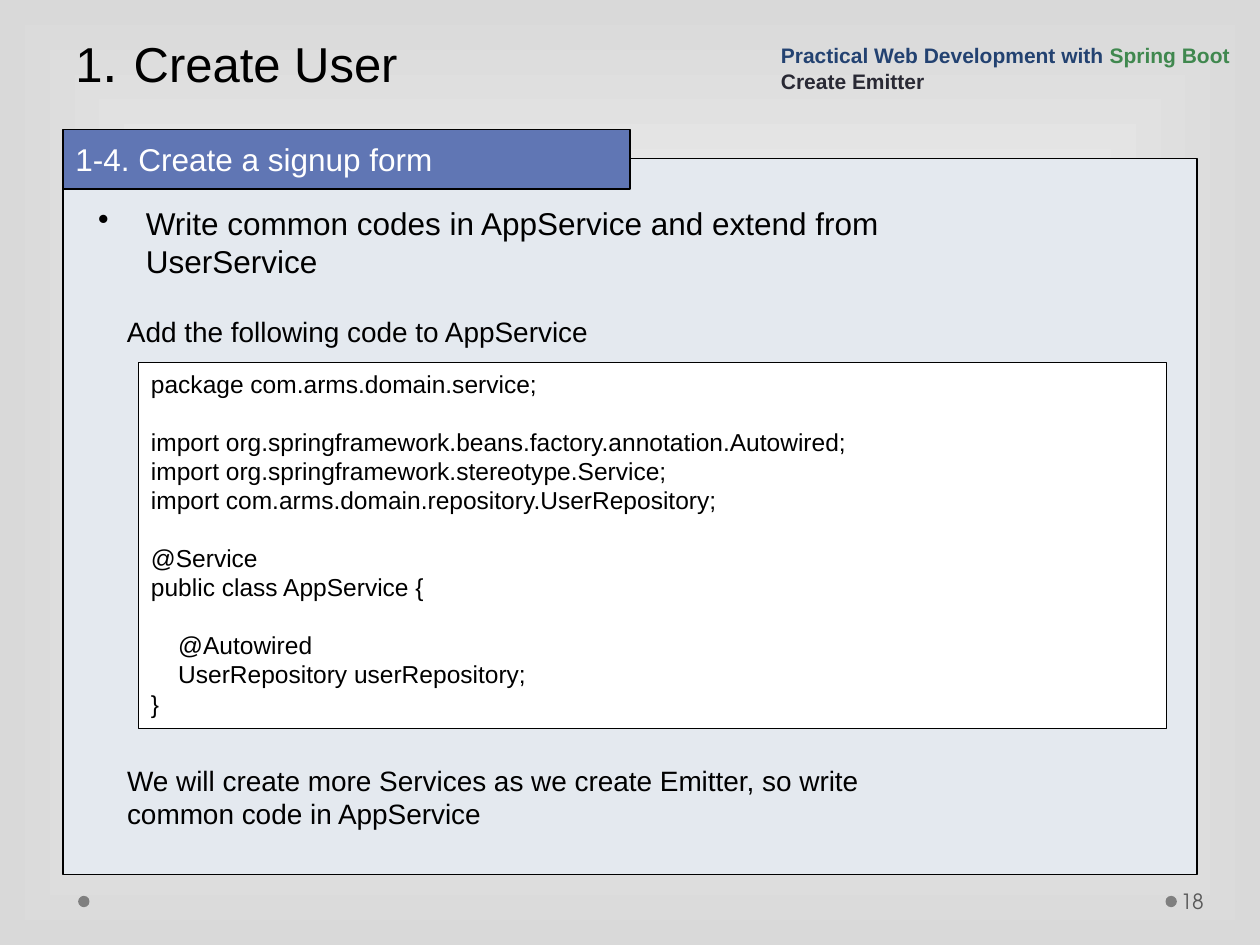
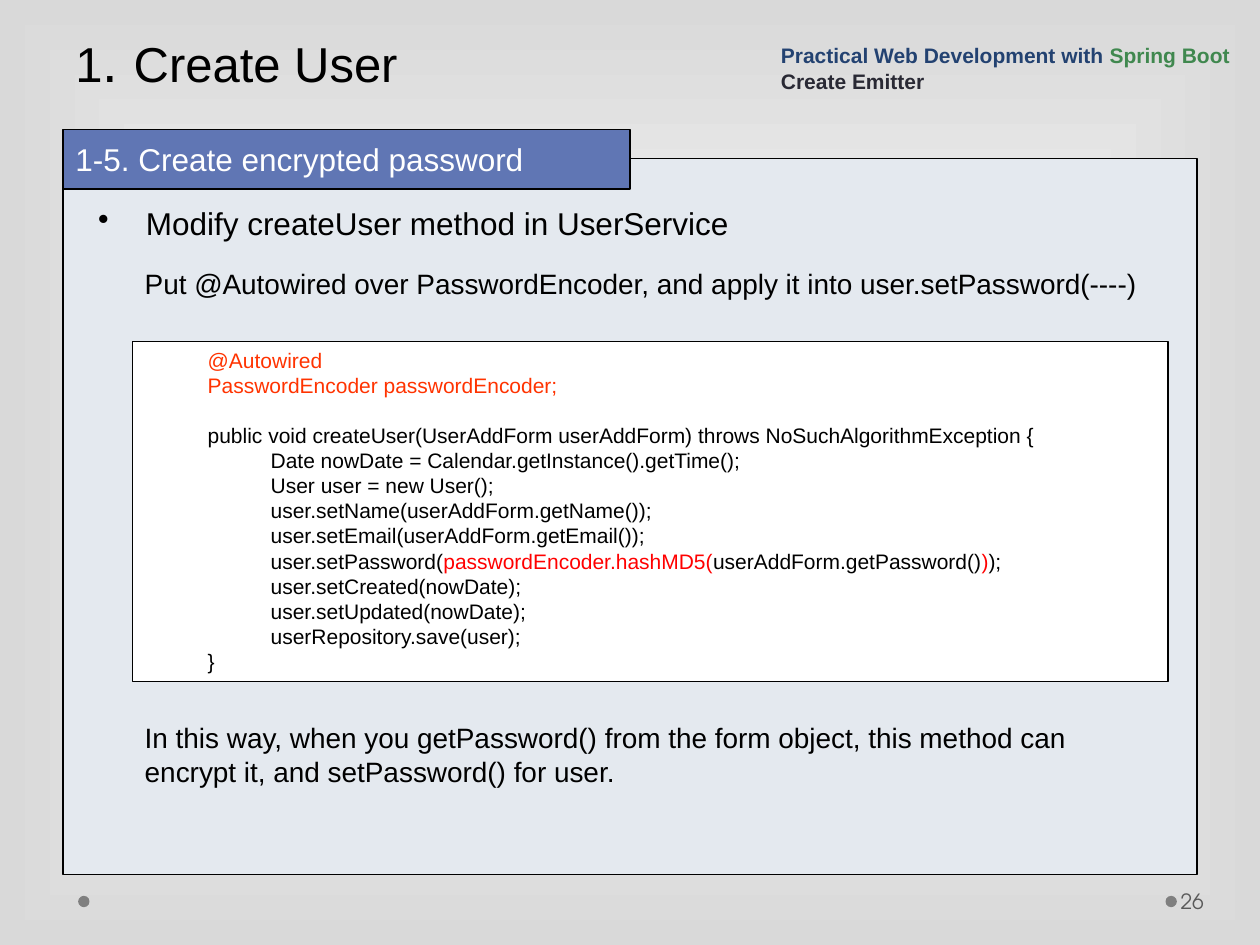
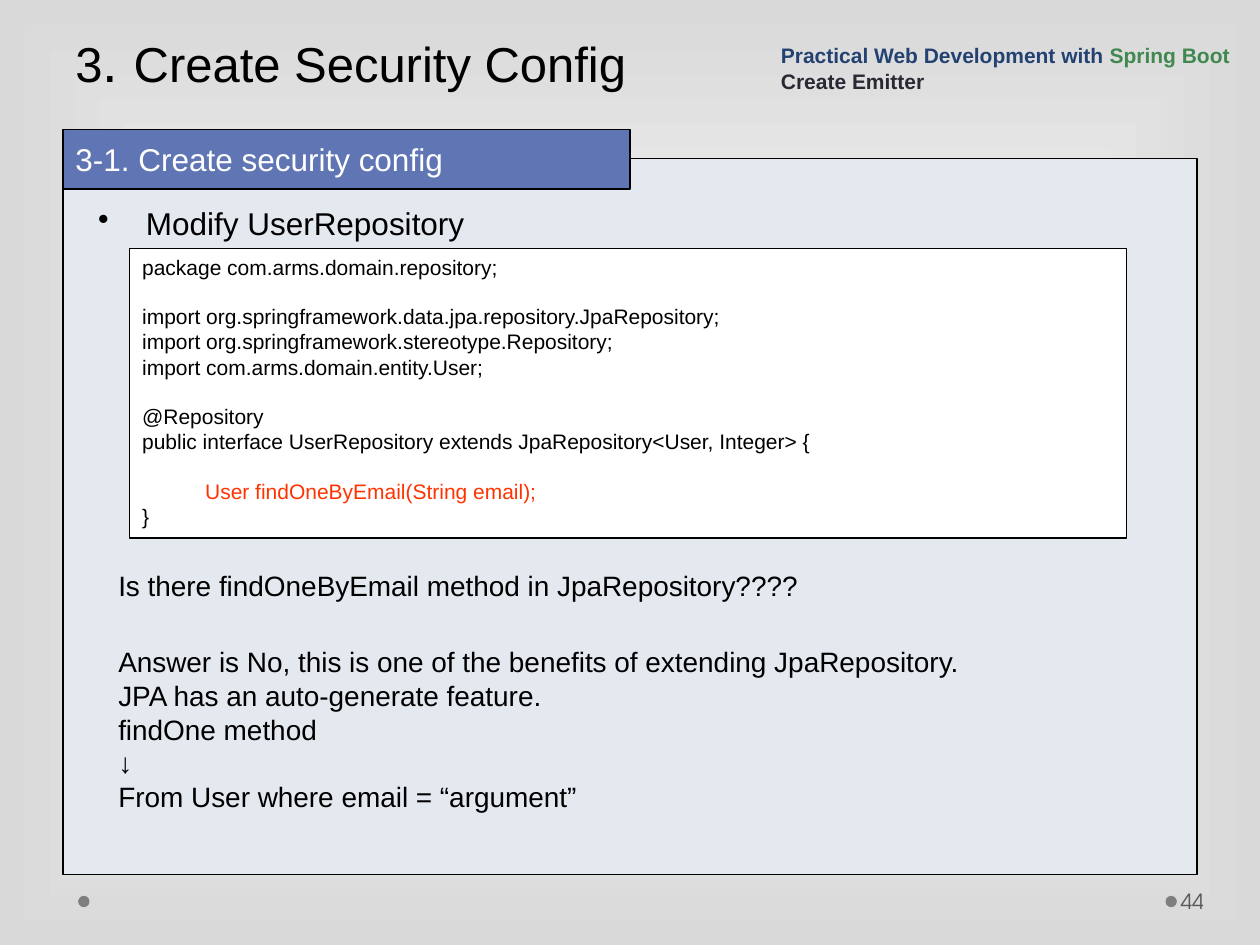
from dataclasses import dataclass
from typing import NamedTuple

from lxml.etree import SubElement
from pptx import Presentation
from pptx.dml.color import RGBColor
from pptx.enum.shapes import MSO_SHAPE
from pptx.enum.text import MSO_ANCHOR, PP_ALIGN
from pptx.oxml.ns import qn
from pptx.util import Inches, Pt

COLORS = {
    "black": "000000", "white": "FFFFFF", "edge": "D9D9D9", "dot": "7F7F7F",
    "number": "595959", "panel": "E4E9EF", "tab": "6076B4", "navy": "234271",
    "green": "40884F", "ink": "292934", "orange": "FF3300", "red": "FF0000",
}
LINE = 1.15


class Box(NamedTuple):
    left: float
    top: float
    width: float
    height: float


class Run(NamedTuple):
    text: str
    color: str = ""
    size: float = 0


@dataclass
class Style:
    size: float
    color: str = "black"
    font: str = "Arial"
    bold: bool = False
    anchor: MSO_ANCHOR = MSO_ANCHOR.TOP
    pitch: float = 0
    bullet: bool = False


@dataclass
class Block:
    box: Box
    lines: list
    size: float = 16
    code: bool = False


@dataclass
class Page:
    number: str
    title: tuple
    topic: str
    point: str
    blocks: list


NOTE = Style(16)
POINT = Style(18, bullet=True)
TITLE = Style(28, anchor=MSO_ANCHOR.BOTTOM, pitch=58)
TOPIC = Style(18, "white", anchor=MSO_ANCHOR.MIDDLE)
BRAND = Style(12, "navy", bold=True, anchor=MSO_ANCHOR.BOTTOM)
NUMBER = Style(12, "number", "TeX Gyre Adventor", anchor=MSO_ANCHOR.MIDDLE)

HEADER = [
    [Run("Practical Web Development with "), Run("Spring Boot", "green")],
    [Run("Create Emitter", "ink")],
]
DOTS = [Box(left, 7.11, 0.09, 0.09) for left in (9.25, 0.62)]

PAGES = [
    Page("18", ("1", "Create User"), "1-4. Create a signup form",
         "Write common codes in AppService and extend from UserService", [
             Block(Box(0.91, 2.45, 5.73, 0.37),
                   ["Add the following code to AppService"]),
             Block(Box(1.1, 2.88, 8.16, 2.9), [
                 "package com.arms.domain.service;",
                 "",
                 "import org.springframework.beans.factory.annotation.Autowired;",
                 "import org.springframework.stereotype.Service;",
                 "import com.arms.domain.repository.UserRepository;",
                 "",
                 "@Service",
                 "public class AppService {",
                 "",
                 "    @Autowired",
                 "    UserRepository userRepository;",
                 "}",
             ], 14, code=True),
             Block(Box(0.91, 6.01, 6.68, 0.64),
                   ["We will create more Services as we create Emitter, "
                    "so write common code in AppService"]),
         ]),
    Page("26", ("1", "Create User"), "1-5. Create encrypted password",
         "Modify createUser method in UserService", [
             Block(Box(1.05, 2.71, 8.22, 2.7), [
                 [Run("\t@Autowired", "orange")],
                 [Run("\tPasswordEncoder passwordEncoder;", "orange")],
                 "",
                 "\tpublic void createUser(UserAddForm userAddForm) "
                 "throws NoSuchAlgorithmException {",
                 "\t\tDate nowDate = Calendar.getInstance().getTime();",
                 "\t\tUser user = new User();",
                 "\t\tuser.setName(userAddForm.getName());",
                 "\t\tuser.setEmail(userAddForm.getEmail());",
                 [Run("\t\tuser.setPassword("),
                  Run("passwordEncoder.hashMD5(", "red"),
                  Run("userAddForm.getPassword()"),
                  Run(")", "red"), Run(");")],
                 "\t\tuser.setCreated(nowDate);",
                 "\t\tuser.setUpdated(nowDate);",
                 "\t\tuserRepository.save(user);",
                 "\t}",
             ], 12, code=True),
             Block(Box(1.05, 2.07, 8.22, 0.37),
                   ["Put @Autowired over PasswordEncoder, and apply it "
                    "into user.setPassword(----)"]),
             Block(Box(1.05, 5.67, 8.22, 0.64),
                   ["In this way, when you getPassword() from the form object, "
                    "this method can encrypt it, and setPassword() for user."]),
         ]),
    Page("44", ("3", "Create Security Config"), "3-1. Create security config",
         "Modify UserRepository", [
             Block(Box(1.03, 1.97, 7.91, 2.3), [
                 "package com.arms.domain.repository;",
                 "",
                 "import org.springframework.data.jpa.repository.JpaRepository;",
                 "import org.springframework.stereotype.Repository;",
                 "import com.arms.domain.entity.User;",
                 "",
                 "@Repository",
                 "public interface UserRepository extends "
                 "JpaRepository<User, Integer> {",
                 "",
                 [Run("\tUser findOneByEmail(String email);", "orange")],
                 "}",
             ], 12, code=True),
             Block(Box(0.84, 4.46, 7.58, 0.37),
                   ["Is there findOneByEmail method in JpaRepository????"]),
             Block(Box(0.84, 5.07, 7.58, 1.44), [
                 "Answer is No, this is one of the benefits of extending "
                 "JpaRepository.",
                 "JPA has an auto-generate feature.",
                 "findOne method",
                 "↓",
                 "From User where email = “argument”",
             ]),
         ]),
]


def shade(name: str) -> RGBColor:
    return RGBColor.from_string(COLORS[name])


def place(box: Box) -> list:
    return [Inches(side) for side in box]


def add_para(para, runs: list, style: Style, gap: float) -> None:
    props = para._p.get_or_add_pPr()
    if style.bullet:
        props.set("marL", str(Inches(0.38)))
        props.set("indent", str(Inches(-0.38)))
        SubElement(props, qn("a:buChar"), char="•")
    if "\t" in runs[0].text:
        tabs = SubElement(props, qn("a:tabLst"))
        for step in (1, 2):
            SubElement(tabs, qn("a:tab"), pos=str(Inches(0.5 * step)), algn="l")
    para.alignment = PP_ALIGN.LEFT
    if gap:
        para.space_before = Pt(gap)
    if style.pitch:
        para.line_spacing = Pt(style.pitch)
    para.font.name = style.font
    para.font.size = Pt(style.size)
    para.font.bold = style.bold
    colors = {part.color or style.color for part in runs}
    if len(colors) == 1:
        para.font.color.rgb = shade(colors.pop())
    for part in runs:
        run = para.add_run()
        run.text = part.text
        if colors:
            run.font.color.rgb = shade(part.color or style.color)
        if part.size:
            run.font.size = Pt(part.size)


def write(shape, lines: list, style: Style) -> None:
    frame = shape.text_frame
    frame.word_wrap = True
    frame.vertical_anchor = style.anchor
    para, gap = frame.paragraphs[0], 0
    for index, line in enumerate(lines):
        if not line:
            gap = round(style.size * LINE, 1)
            continue
        runs = [Run(line)] if isinstance(line, str) else line
        add_para(frame.add_paragraph() if index else para, runs, style, gap)
        gap = 0


def add_text(slide, box: Box, lines: list, style: Style):
    shape = slide.shapes.add_textbox(*place(box))
    write(shape, lines, style)
    return shape


def add_form(slide, box: Box, fill: str, kind=MSO_SHAPE.RECTANGLE):
    shape = slide.shapes.add_shape(kind, *place(box))
    shape.shadow.inherit = False
    shape.fill.solid()
    shape.fill.fore_color.rgb = shade(fill)
    if kind == MSO_SHAPE.RECTANGLE:
        shape.line.color.rgb = shade("black")
        shape.line.width = Pt(0.75)
    else:
        shape.line.fill.background()
    return shape


def paint_back(master) -> None:
    fill = master.background.fill
    fill.gradient()
    for stop, spot, name in zip(fill.gradient_stops, (0, 1), ("white", "edge")):
        stop.position = spot
        stop.color.rgb = shade(name)
    line = master.element.find(".//" + qn("a:lin"))
    grad = line.getparent()
    grad.remove(line)
    route = SubElement(grad, qn("a:path"), {"path": "rect"})
    SubElement(route, qn("a:fillToRect"), dict.fromkeys("ltrb", "50000"))


def add_page(deck, page: Page) -> None:
    slide = deck.slides.add_slide(deck.slide_layouts[6])
    for dot in DOTS:
        add_form(slide, dot, "dot", MSO_SHAPE.OVAL)
    number = add_text(slide, Box(9.34, 6.95, 0.61, 0.4), [page.number], NUMBER)
    number.text_frame.margin_left = Inches(0.03)
    number.text_frame.margin_right = Inches(0.05)
    add_form(slide, Box(0.5, 1.26, 9, 5.68), "panel")
    index, name = page.title
    title = [Run(index), Run(". ", size=32), Run(name)]
    add_text(slide, Box(0.5, 0, 9, 0.79), [title], TITLE)
    topic = add_form(slide, Box(0.5, 1.03, 4.5, 0.47), "tab")
    write(topic, [page.topic], TOPIC)
    add_text(slide, Box(0.68, 1.57, 7.74, 0.4), [page.point], POINT)
    add_text(slide, Box(6.1, 0.24, 3.9, 0.55), HEADER, BRAND)
    for block in page.blocks:
        if block.code:
            write(add_form(slide, block.box, "white"), block.lines,
                  Style(block.size))
        else:
            add_text(slide, block.box, block.lines, NOTE)


def main() -> None:
    deck = Presentation()
    deck.slide_width, deck.slide_height = Inches(10), Inches(7.5)
    paint_back(deck.slide_master)
    for page in PAGES:
        add_page(deck, page)
    deck.save("out.pptx")


if __name__ == "__main__":
    main()
